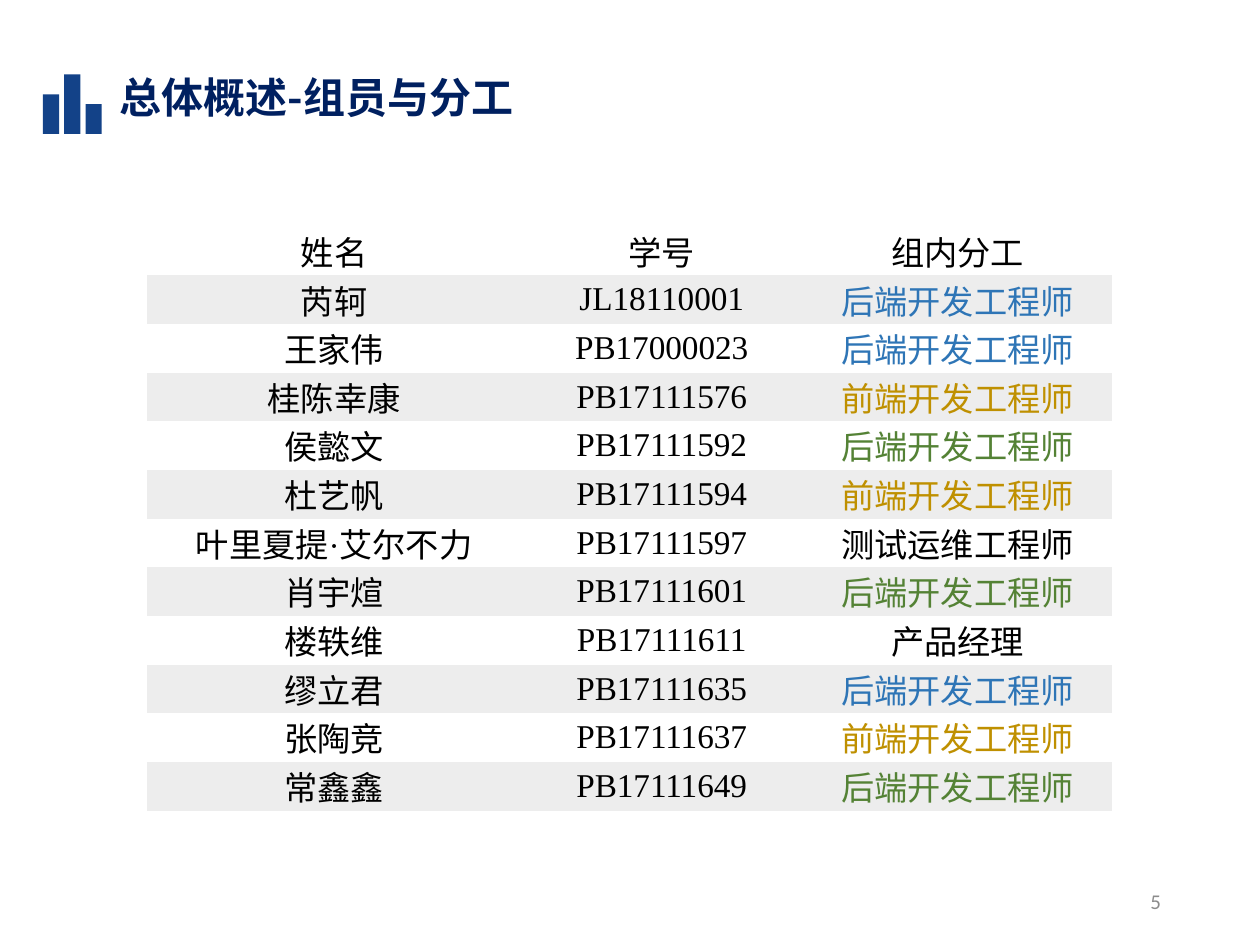
from pptx import Presentation
from pptx.dml.color import RGBColor
from pptx.enum.shapes import MSO_SHAPE as Shape
from pptx.enum.text import MSO_ANCHOR as Anchor, PP_ALIGN as Align
from pptx.oxml.ns import qn
from pptx.util import Pt
from lxml.etree import SubElement

BAR_BLUE = RGBColor(0x13, 0x42, 0x88)
NAVY = RGBColor(0x00, 0x20, 0x60)
GRAY = RGBColor(0x8C, 0x8C, 0x8C)
BAND = RGBColor(0xED, 0xED, 0xED)
BLACK = RGBColor(0x00, 0x00, 0x00)
BLUE = RGBColor(0x2E, 0x75, 0xB6)
GOLD = RGBColor(0xBF, 0x90, 0x00)
GREEN = RGBColor(0x54, 0x82, 0x35)
CJK = "Noto Sans CJK SC"


def format_text(para, size, font, color, align, bold=False):
    para.alignment = align
    for span in para.runs:
        span.font.size = Pt(size)
        span.font.name = font
        span.font.bold = bold
        span.font.color.rgb = color
        SubElement(span.font._element, qn("a:ea")).set("typeface", CJK)


deck = Presentation()
deck.slide_width, deck.slide_height = Pt(720), Pt(540)
page = deck.slides.add_slide(deck.slide_layouts[6])

# Bar mark beside the title, all bars on one baseline
BASELINE = 76.5
for index, height in enumerate((22.5, 34, 17)):
    bar = page.shapes.add_shape(Shape.RECTANGLE, Pt(24.5 + 12.2 * index),
                                Pt(BASELINE - height), Pt(9.3), Pt(height))
    bar.shadow.inherit = False
    bar.fill.solid()
    bar.fill.fore_color.rgb = BAR_BLUE
    bar.line.fill.background()

# Title
title = page.shapes.add_textbox(Pt(61.2), Pt(40.3), Pt(322.5), Pt(36))
title.text_frame.word_wrap = True
title.text_frame.text = "总体概述-组员与分工"
para = title.text_frame.paragraphs[0]
para.line_spacing = 0.9
format_text(para, 24, CJK, NAVY, Align.LEFT, bold=True)

# Members: name, student number, role, role colour
members = [
    ("姓名", "学号", "组内分工", BLACK),
    ("芮轲", "JL18110001", "后端开发工程师", BLUE),
    ("王家伟", "PB17000023", "后端开发工程师", BLUE),
    ("桂陈幸康", "PB17111576", "前端开发工程师", GOLD),
    ("侯懿文", "PB17111592", "后端开发工程师", GREEN),
    ("杜艺帆", "PB17111594", "前端开发工程师", GOLD),
    ("叶里夏提·艾尔不力", "PB17111597", "测试运维工程师", BLACK),
    ("肖宇煊", "PB17111601", "后端开发工程师", GREEN),
    ("楼轶维", "PB17111611", "产品经理", BLACK),
    ("缪立君", "PB17111635", "后端开发工程师", BLUE),
    ("张陶竞", "PB17111637", "前端开发工程师", GOLD),
    ("常鑫鑫", "PB17111649", "后端开发工程师", GREEN),
]
ROW_HEIGHT = 27.83
column_widths = (213.5, 161, 177)
frame = page.shapes.add_table(len(members), len(column_widths), Pt(84.2), Pt(129.5),
                              Pt(sum(column_widths)), Pt(ROW_HEIGHT * len(members)))
table = frame.table
table.first_row = table.horz_banding = False
for column, width in zip(table.columns, column_widths):
    column.width = Pt(width)

for row_index, (*texts, role_color) in enumerate(members):
    table.rows[row_index].height = Pt(ROW_HEIGHT)
    for column_index, text in enumerate(texts):
        cell = table.cell(row_index, column_index)
        cell.margin_top = cell.margin_bottom = 0
        cell.margin_left = cell.margin_right = Pt(6.75)
        cell.vertical_anchor = Anchor.MIDDLE
        if row_index % 2:
            cell.fill.solid()
            cell.fill.fore_color.rgb = BAND
        else:
            cell.fill.background()
        cell.text_frame.text = text
        color = role_color if column_index == 2 else BLACK
        format_text(cell.text_frame.paragraphs[0], 19, "Times New Roman", color, Align.CENTER)

# Plain table style without grid lines
table._tbl.tblPr.find(qn("a:tableStyleId")).text = "{2D5ABB26-0587-4C30-8999-92F81FD0307C}"

# Page number
number = page.shapes.add_textbox(Pt(508.5), Pt(500.5), Pt(162), Pt(28.75))
number.text_frame.word_wrap = True
number.text_frame.vertical_anchor = Anchor.MIDDLE
number.text_frame.text = "5"
format_text(number.text_frame.paragraphs[0], 12, "Calibri", GRAY, Align.RIGHT)

deck.save("out.pptx")
